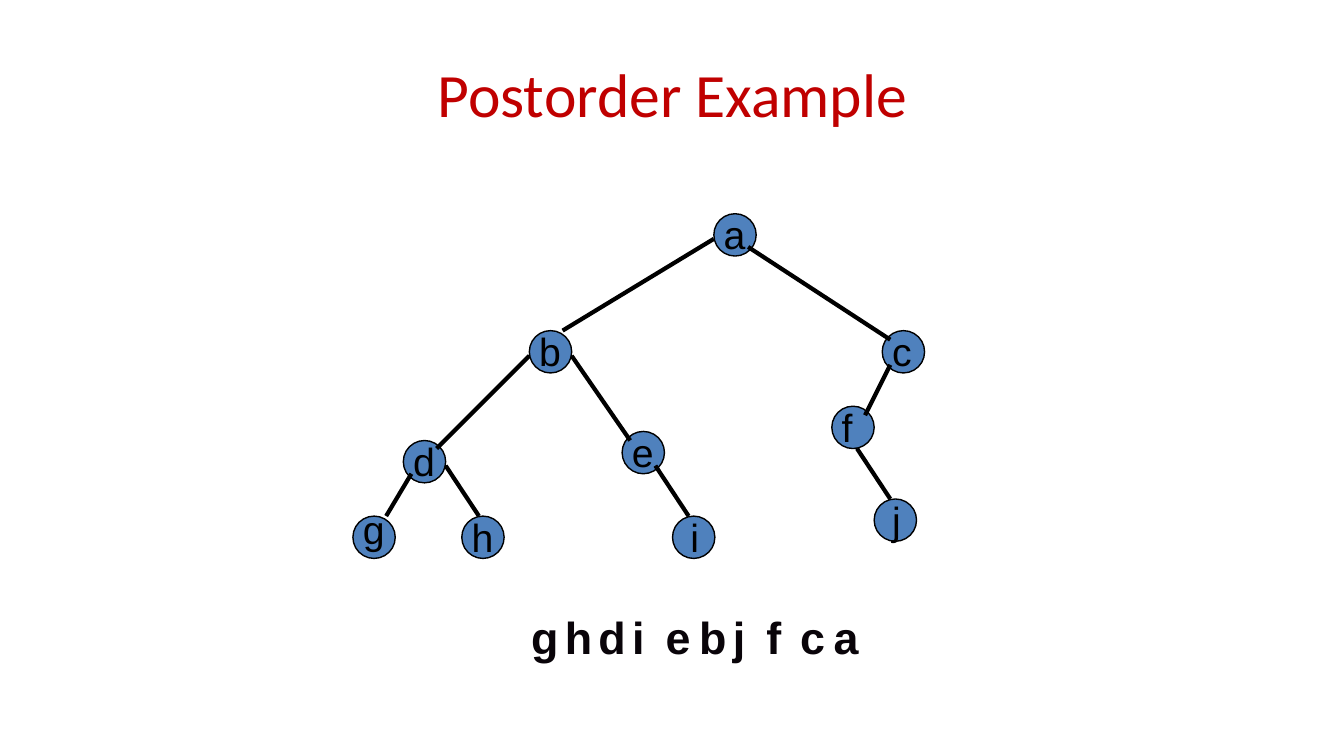
from lxml import etree
from pptx import Presentation
from pptx.dml.color import RGBColor
from pptx.enum.shapes import MSO_CONNECTOR, MSO_SHAPE
from pptx.enum.text import MSO_ANCHOR, PP_ALIGN
from pptx.oxml.ns import qn
from pptx.util import Inches, Pt

OVAL = MSO_SHAPE.OVAL
STRAIGHT = MSO_CONNECTOR.STRAIGHT
MIDDLE = MSO_ANCHOR.MIDDLE
CENTER = PP_ALIGN.CENTER

RED = RGBColor(0xC0, 0x00, 0x00)
BLUE = RGBColor(0x4F, 0x81, 0xBD)
BLACK = RGBColor(0x00, 0x00, 0x00)
INK = RGBColor(0x09, 0x04, 0x09)

NODE_SIZE = 0.42
LABEL_RISE = 0.08
NODES = {
    "a": (7.08, 2.12),
    "b": (5.25, 3.28),
    "c": (8.75, 3.28),
    "d": (4, 4.37),
    "e": (6.17, 4.28),
    "f": (8.25, 4.03),
    "g": (3.5, 5.12),
    "h": (4.58, 5.12),
    "i": (6.67, 5.12),
    "j": (8.67, 4.95),
}
LABEL_SHIFTS = {"g": (0, -0.08), "i": (0.08, 0), "j": (0.08, 0)}
EDGES = [
    (7.08, 2.37, 5.58, 3.28),
    (7.42, 2.45, 8.83, 3.37),
    (5.25, 3.53, 4.33, 4.45),
    (5.67, 3.53, 6.25, 4.37),
    (8.83, 3.62, 8.58, 4.12),
    (4.08, 4.7, 3.83, 5.12),
    (4.42, 4.62, 4.75, 5.12),
    (6.5, 4.62, 6.83, 5.12),
    (8.5, 4.45, 8.83, 4.95),
]
POSTORDER = "ghdiebjfca"


def add_run(p, text, size, font, color, bold=False):
    r = p.add_run()
    r.text = text
    r.font.size = Pt(size)
    r.font.name = font
    r.font.bold = bold
    r.font.color.rgb = color


def set_title(s, text):
    title = s.shapes.title
    title.left, title.top = Inches(0.67), Inches(0.3)
    title.width, title.height = Inches(12), Inches(1.25)
    tf = title.text_frame
    tf.vertical_anchor = MIDDLE
    p = tf.paragraphs[0]
    p.alignment = CENTER
    add_run(p, text, 44, "Calibri", RED)


def add_node(s, x, y):
    node = s.shapes.add_shape(OVAL, Inches(x), Inches(y), Inches(NODE_SIZE), Inches(NODE_SIZE))
    node.shadow.inherit = False
    node.fill.solid()
    node.fill.fore_color.rgb = BLUE
    node.line.color.rgb = BLACK
    node.line.width = Pt(1)


def add_edge(s, x1, y1, x2, y2):
    edge = s.shapes.add_connector(STRAIGHT, Inches(x1), Inches(y1), Inches(x2), Inches(y2))
    edge.line.color.rgb = BLACK
    edge.line.width = Pt(3)
    etree.SubElement(edge._element.spPr, qn("a:effectLst"))


def add_letter(s, letter, x, y, width, height, size, color, bold=False):
    box = s.shapes.add_textbox(Inches(x), Inches(y), Inches(width), Inches(height))
    tf = box.text_frame
    tf.word_wrap = True
    add_run(tf.paragraphs[0], letter, size, "Arial", color, bold)


def main():
    prs = Presentation()
    prs.slide_width, prs.slide_height = Inches(13.33), Inches(7.5)
    s = prs.slides.add_slide(prs.slide_layouts[5])
    set_title(s, "Postorder Example")
    for x, y in NODES.values():
        add_node(s, x, y)
    for edge in EDGES:
        add_edge(s, *edge)
    for letter, (x, y) in NODES.items():
        dx, dy = LABEL_SHIFTS.get(letter, (0, 0))
        add_letter(s, letter, x + dx, y - LABEL_RISE + dy, 0.83, 0.57, 28, BLACK)
    for i, letter in enumerate(POSTORDER):
        add_letter(s, letter, 5.17 + i / 3, 6, 0.42, 0.64, 32, INK, bold=True)
    prs.save("out.pptx")


if __name__ == "__main__":
    main()
